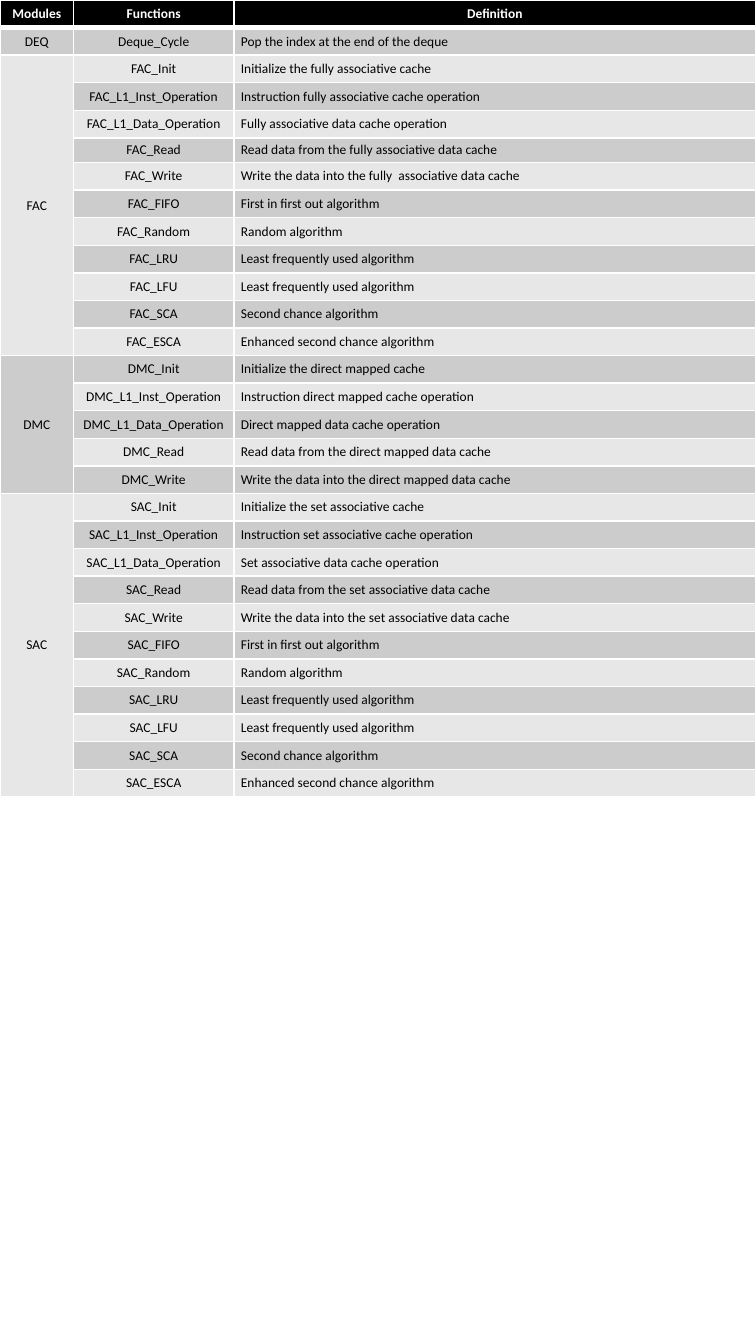
from pptx import Presentation
from pptx.dml.color import RGBColor
from pptx.enum.text import MSO_ANCHOR, PP_ALIGN
from pptx.oxml.ns import qn
from pptx.util import Emu, Pt
from lxml.etree import SubElement

PX = 7620
SLIDE_SIZE = (750, 1333)
TABLE_BOX = (0, 0, 750, 790)
COLUMN_WIDTHS = (73, 159, 518)
SHORT_FUNCTION, SHORT_HEIGHT = "FAC_Read", 23
MARGIN_X, MARGIN_Y = 7, 4

FONT = "Calibri"
BLACK = RGBColor(0x00, 0x00, 0x00)
WHITE = RGBColor(0xFF, 0xFF, 0xFF)
DARK_BAND = RGBColor(0xCC, 0xCC, 0xCC)
LIGHT_BAND = RGBColor(0xE7, 0xE7, 0xE7)

HEADERS = ("Modules", "Functions", "Definition")
POLICIES = [
    ("FIFO", "First in first out algorithm"),
    ("Random", "Random algorithm"),
    ("LRU", "Least frequently used algorithm"),
    ("LFU", "Least frequently used algorithm"),
    ("SCA", "Second chance algorithm"),
    ("ESCA", "Enhanced second chance algorithm"),
]


def cache_functions(module, kind, written_kind=None):
    """Return the access functions that every cache module shares."""
    definitions = {
        "Init": f"Initialize the {kind} cache",
        "L1_Inst_Operation": f"Instruction {kind} cache operation",
        "L1_Data_Operation": f"{kind[0].upper()}{kind[1:]} data cache operation",
        "Read": f"Read data from the {kind} data cache",
        "Write": f"Write the data into the {written_kind or kind} data cache",
    }
    return [(f"{module}_{name}", text) for name, text in definitions.items()]


def policy_functions(module):
    """Return the replacement algorithms of an associative module."""
    return [(f"{module}_{name}", text) for name, text in POLICIES]


MODULES = {
    "DEQ": [("Deque_Cycle", "Pop the index at the end of the deque")],
    "FAC": cache_functions("FAC", "fully associative", "fully  associative")
    + policy_functions("FAC"),
    "DMC": cache_functions("DMC", "direct mapped"),
    "SAC": cache_functions("SAC", "set associative") + policy_functions("SAC"),
}


def set_text(frame, text, *, color=BLACK, bold=False, align=PP_ALIGN.CENTER, size=8):
    """Write one formatted paragraph into a text frame."""
    paragraph = frame.paragraphs[0]
    paragraph.alignment = align
    run = paragraph.add_run()
    run.text = text
    run.font.name = FONT
    run.font.size = Pt(size)
    run.font.bold = bold
    run.font.color.rgb = color


def set_borders(cell, top=1, bottom=1):
    """Draw white lines around a cell, with widths in points."""
    properties = cell._tc.get_or_add_tcPr()
    for side, width in (("L", 1), ("R", 1), ("T", top), ("B", bottom)):
        line = SubElement(properties, qn(f"a:ln{side}"), w=str(Pt(width)))
        fill = SubElement(line, qn("a:solidFill"))
        SubElement(fill, qn("a:srgbClr"), val=str(WHITE))


def style_cell(cell, color, **borders):
    """Set the borders, fill, margins and anchor of a cell."""
    set_borders(cell, **borders)
    cell.fill.solid()
    cell.fill.fore_color.rgb = color
    cell.vertical_anchor = MSO_ANCHOR.MIDDLE
    cell.margin_left = cell.margin_right = Emu(MARGIN_X * PX)
    cell.margin_top = cell.margin_bottom = Emu(MARGIN_Y * PX)


def size_table(table, functions, height):
    """Set the column widths and share the height among the regular rows."""
    for column, width in zip(table.columns, COLUMN_WIDTHS):
        column.width = Emu(width * PX)
    regular = (height - SHORT_HEIGHT) * PX // len(functions)
    for row, name in zip(table.rows, ["", *functions]):
        row.height = Emu(SHORT_HEIGHT * PX if name == SHORT_FUNCTION else regular)


def fill_header(table):
    """Fill the black header row."""
    for column, title in enumerate(HEADERS):
        cell = table.cell(0, column)
        style_cell(cell, BLACK, bottom=3)
        set_text(cell.text_frame, title, color=WHITE, bold=True)


def fill_module(table, first, module, functions):
    """Fill the rows of one module and merge its name cell."""
    for row, (name, definition) in enumerate(functions, first):
        band = DARK_BAND if row % 2 else LIGHT_BAND
        module_band = DARK_BAND if first % 2 else LIGHT_BAND
        for column, color in enumerate((module_band, band, band)):
            style_cell(table.cell(row, column), color, top=3 if row == 1 else 1)
        set_text(table.cell(row, 1).text_frame, name)
        set_text(table.cell(row, 2).text_frame, definition, align=PP_ALIGN.LEFT)
    set_text(table.cell(first, 0).text_frame, module)
    if len(functions) > 1:
        table.cell(first, 0).merge(table.cell(first + len(functions) - 1, 0))


def add_function_table(slide, box):
    """Place the table of modules and functions in the given box."""
    functions = [name for rows in MODULES.values() for name, _ in rows]
    shape = slide.shapes.add_table(
        len(functions) + 1, len(HEADERS), *(Emu(length * PX) for length in box)
    )
    table = shape.table
    table.horz_banding = False
    size_table(table, functions, box[3])
    fill_header(table)
    first = 1
    for module, rows in MODULES.items():
        fill_module(table, first, module, rows)
        first += len(rows)


def main():
    """Build and save the presentation."""
    presentation = Presentation()
    presentation.slide_width, presentation.slide_height = (
        Emu(length * PX) for length in SLIDE_SIZE
    )
    slide = presentation.slides.add_slide(presentation.slide_layouts[6])
    add_function_table(slide, TABLE_BOX)
    presentation.save("out.pptx")


if __name__ == "__main__":
    main()
